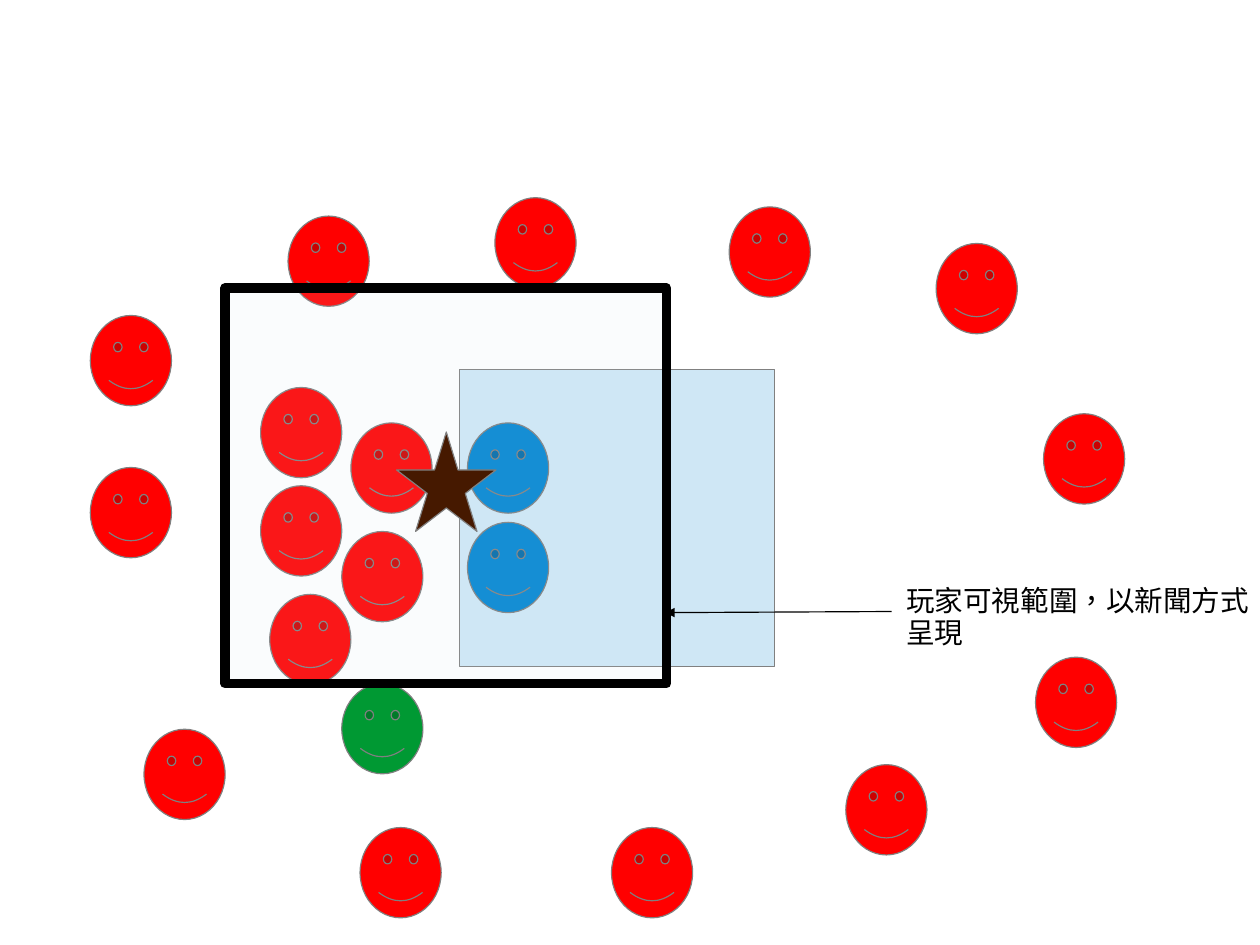
from lxml import etree
from pptx import Presentation
from pptx import util as u
from pptx.dml import color as c
from pptx.enum import shapes, text
from pptx.oxml import ns

RED, BLUE, GREEN, PALE, BROWN = "FF0000", "0084D1", "009933", "CFE7F5", "461900"
GREY, BLACK = "808080", "000000"
SHAPE = shapes.MSO_SHAPE
BOX, FACE = SHAPE.ROUNDED_RECTANGLE, SHAPE.SMILEY_FACE


def paint(fill, color):
    fill.solid()
    fill.fore_color.rgb = c.RGBColor.from_string(color)


def write(tf, lines, font="Arial", size=18, color=BLACK, spacing=0.93, lang="zh-TW"):
    for i, line in enumerate(lines):
        p = tf.add_paragraph() if i else tf.paragraphs[0]
        p.line_spacing = spacing
        r = p.add_run()
        r.text = line
        r.font.name, r.font.size = font, u.Pt(size)
        paint(r.font.fill, color)
        r._r.get_or_add_rPr().set("lang", lang)


prs = Presentation()
prs.slide_width, prs.slide_height = u.Inches(28 / 2.54), u.Inches(21 / 2.54)
s = prs.slides.add_slide(prs.slide_layouts[6])

red_faces = [
    (0.79, 4.09), (1.26, 6.38), (2.52, 1.89), (4.33, 1.73), (6.38, 1.81),
    (8.19, 2.13), (9.13, 3.62), (9.06, 5.75), (7.4, 6.69), (5.35, 7.24),
    (3.15, 7.24), (3.07, 3.7), (2.99, 4.65), (2.28, 3.39), (2.28, 4.25),
    (2.36, 5.2),
]
faces = [(0.79, 2.76, RED), (4.09, 3.7, BLUE), (4.09, 4.57, BLUE)]
faces += [(x, y, RED) for x, y in red_faces] + [(2.99, 5.98, GREEN)]

parts = [(BOX, 4.02, 3.23, 2.76, 2.6, PALE, GREY, 0.75)]
parts += [(FACE, x, y, 0.71, 0.79, fill, GREY, 0.75) for x, y, fill in faces]
parts += [
    (BOX, 1.97, 2.52, 3.86, 3.46, PALE, BLACK, 6),
    (SHAPE.STAR_5_POINT, 3.47, 3.78, 0.87, 0.87, BROWN, GREY, 0.75),
]
for kind, x, y, w, h, fill, line, width in parts:
    sp = s.shapes.add_shape(kind, u.Inches(x), u.Inches(y), u.Inches(w), u.Inches(h))
    sp.shadow.inherit = False
    paint(sp.fill, fill)
    paint(sp.line.fill, line)
    sp.line.width = u.Pt(width)
    if kind == BOX:
        sp.adjustments[0] = 0
    if line == BLACK:
        rgb = sp._element.spPr.find(ns.qn("a:solidFill"))[0]
        etree.SubElement(rgb, ns.qn("a:alpha"), val="10000")
        etree.SubElement(sp._element.spPr.find(ns.qn("a:ln")), ns.qn("a:round"))

arrow = s.shapes.add_connector(
    shapes.MSO_CONNECTOR.STRAIGHT,
    u.Inches(7.8), u.Inches(5.35), u.Inches(5.82), u.Inches(5.36),
)
paint(arrow.line.fill, BLACK)
arrow.line.width = u.Pt(0.75)
ln = arrow._element.spPr.find(ns.qn("a:ln"))
etree.SubElement(ln, ns.qn("a:tailEnd"), type="triangle")
etree.SubElement(arrow._element.spPr, ns.qn("a:effectLst"))

label = s.shapes.add_textbox(u.Inches(7.83), u.Inches(5.06), u.Inches(3.2), u.Inches(0.77))
tf = label.text_frame
tf.word_wrap = False
tf.vertical_anchor = text.MSO_ANCHOR.TOP
tf.margin_left = tf.margin_right = u.Inches(0.1)
tf.margin_top, tf.margin_bottom = u.Inches(0.07), u.Inches(0.05)
write(tf, ["玩家可視範圍，以新聞方式", "呈現"])

prs.save("out.pptx")
